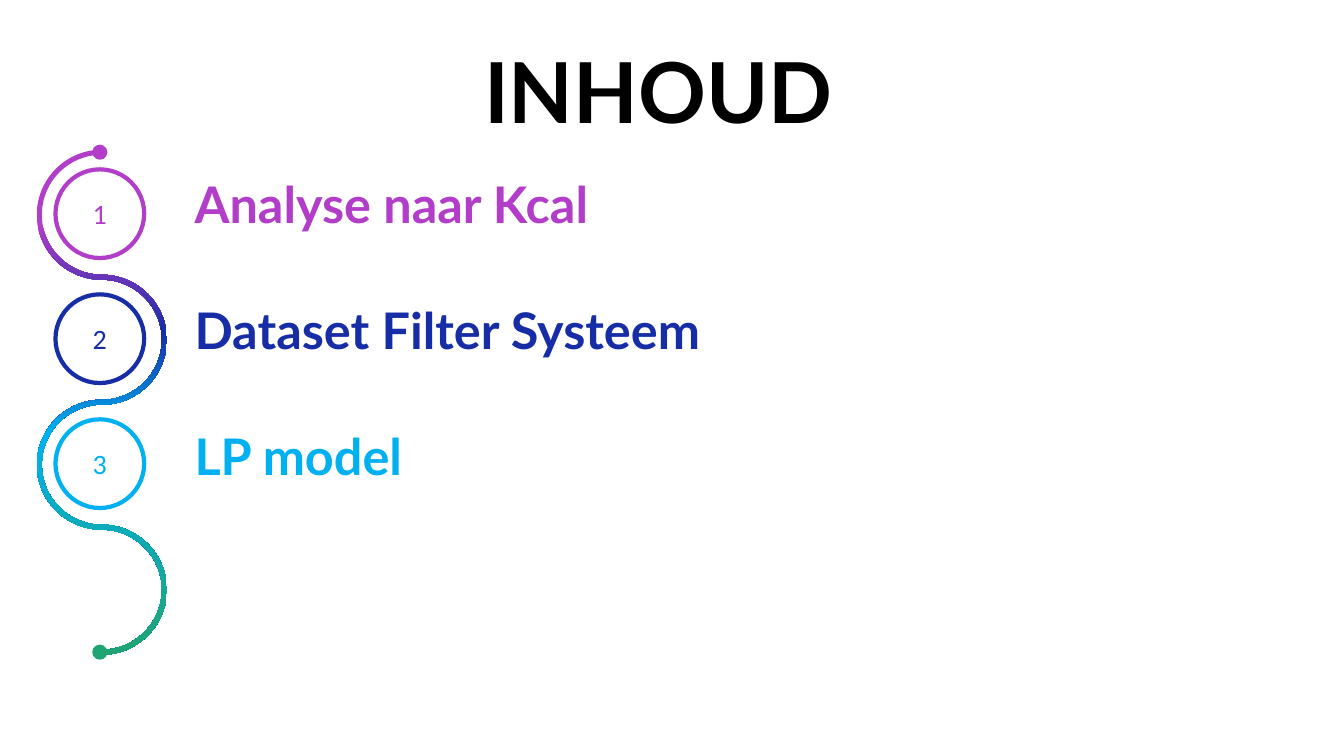
import math

import pptx
import pptx.dml.color
import pptx.enum.shapes
import pptx.enum.text
import pptx.oxml
import pptx.oxml.ns
import pptx.util

WIDTH, HEIGHT = 13.33, 7.5
AXIS = 0.99               # centre of the circles
TOP, ROW = 2.12, 1.24     # centre of the first circle, and row pitch
RADIUS, BAND = ROW / 2, 0.05   # the ribbon turns once per row
UNITS = 1000              # outline units per inch
PURPLE, NAVY, SKY, GREEN = "B13DC8", "172DA6", "00B0F0", "20A472"
TOPICS = [  # placeholder index, text, colour, width, height
    (1, "Analyse naar Kcal ", PURPLE, 8.73, 0.33),
    (3, "Dataset Filter Systeem", NAVY, 6.52, 0.56),
    (2, "LP model ", SKY, 2.9, 0.56),
]
RIBBON_STOPS = [(15, PURPLE), (36, NAVY), (56, SKY), (100, GREEN)]


def rgb(value):
    return pptx.dml.color.RGBColor.from_string(value)


def row_y(row):
    return TOP + row * ROW


def write(sp, text, font, size, color, bold=None):
    tf = sp.text_frame
    tf.text = text
    p = tf.paragraphs[0]
    p.font.name, p.font.size = font, pptx.util.Pt(size)
    p.font.bold, p.font.color.rgb = bold, rgb(color)
    return tf, p


def fill_placeholder(sp, box, text, size, color, align):
    sp.left, sp.top, sp.width, sp.height = map(pptx.util.Inches, box)
    tf, p = write(sp, text, "Lato", size, color, bold=True)
    tf.word_wrap = True
    tf.auto_size = pptx.enum.text.MSO_AUTO_SIZE.NONE
    tf.vertical_anchor = pptx.enum.text.MSO_ANCHOR.TOP
    p.alignment = align
    p.line_spacing, p.space_before = 0.9, pptx.util.Pt(10)
    # No bullet, no hanging indent
    pPr = p._p.get_or_add_pPr()
    pPr.set("marL", "0")
    pPr.set("indent", "0")
    bullet = pptx.oxml.parse_xml(
        f'<a:buNone {pptx.oxml.ns.nsdecls("a")}/>')
    pPr.find(pptx.oxml.ns.qn("a:spcBef")).addnext(bullet)
    # Text lies in front of the shapes
    sp._element.getparent().append(sp._element)


def add_circle(s, y, diameter, fill, line=None):
    left, top = AXIS - diameter / 2, y - diameter / 2
    sp = s.shapes.add_shape(
        pptx.enum.shapes.MSO_SHAPE.OVAL,
        *map(pptx.util.Inches, (left, top, diameter, diameter)))
    sp.shadow.inherit = False
    sp.fill.solid()
    sp.fill.fore_color.rgb = rgb(fill)
    if line:
        sp.line.color.rgb = rgb(line)
        sp.line.width = pptx.util.Pt(3)
    else:
        sp.line.fill.background()
    return sp


def add_number(s, row, color):
    sp = add_circle(s, row_y(row), 0.88, "FFFFFF", color)
    tf, p = write(sp, str(row + 1), "Calibri", 20, color)
    tf.vertical_anchor = pptx.enum.text.MSO_ANCHOR.MIDDLE
    p.alignment = pptx.enum.text.PP_ALIGN.CENTER


def ribbon_edge(turns, offset):
    """Bezier points, from the ribbon's middle, of alternating half circles."""
    handle = 4 / 3 * math.tan(math.pi / 8)
    points = [(0, -turns * RADIUS - offset * -1)]
    for row in range(turns):
        side = 1 if row % 2 else -1
        r = RADIUS + side * offset
        y = (row - (turns - 1) / 2) * ROW
        h = r * handle
        points += [(side * h, y - r), (side * r, y - h), (side * r, y),
                   (side * r, y + h), (side * h, y + r), (0, y + r)]
    return points


def curve_lines(lines):
    """Turn each three line ends into one cubic curve."""
    for start in range(0, len(lines), 3):
        group = lines[start:start + 3]
        curve = pptx.oxml.parse_xml(
            f'<a:cubicBezTo {pptx.oxml.ns.nsdecls("a")}/>')
        group[0].addprevious(curve)
        for line in group:
            curve.append(line[0])
            line.getparent().remove(line)


def add_ribbon(s, turns):
    outline = (ribbon_edge(turns, BAND / 2)
               + ribbon_edge(turns, -BAND / 2)[::-1])
    middle_x = AXIS + 0.02
    middle_y = row_y((turns - 1) / 2) + 0.01
    # Drawn lying down, then turned upright
    points = [(round((middle_x - y) * UNITS), round((middle_y + x) * UNITS))
              for x, y in outline]
    builder = s.shapes.build_freeform(
        *points[0], scale=pptx.util.Inches(1) / UNITS)
    builder.add_line_segments(points[1:])
    sp = builder.convert_to_shape()
    sp.rotation = 270
    sp.shadow.inherit = False
    sp.line.fill.background()
    geometry = sp._element.spPr.find(pptx.oxml.ns.qn("a:custGeom"))
    lines = list(geometry.iter(pptx.oxml.ns.qn("a:lnTo")))
    half = len(lines) // 2
    curve_lines(lines[:half])
    curve_lines(lines[half + 1:])
    stops = "".join(
        f'<a:gs pos="{pos * 1000}"><a:srgbClr val="{color}"/></a:gs>'
        for pos, color in RIBBON_STOPS)
    geometry.addnext(pptx.oxml.parse_xml(
        f'<a:gradFill {pptx.oxml.ns.nsdecls("a")} rotWithShape="1">'
        f'<a:gsLst>{stops}</a:gsLst>'
        '<a:lin ang="10800000" scaled="0"/></a:gradFill>'))


def main():
    prs = pptx.Presentation()
    prs.slide_width = pptx.util.Inches(WIDTH)
    prs.slide_height = pptx.util.Inches(HEIGHT)
    s = prs.slides.add_slide(prs.slide_layouts.get_by_name("Comparison"))
    holders = {sp.placeholder_format.idx: sp for sp in s.placeholders}

    # Number circles
    for row, topic in enumerate(TOPICS):
        add_number(s, row, topic[2])

    # Winding ribbon with a dot at each end
    turns = len(TOPICS) + 1
    add_ribbon(s, turns)
    add_circle(s, row_y(-0.5) + 0.01, 0.15, PURPLE)
    add_circle(s, row_y(turns - 0.5) + 0.01, 0.15, GREEN)

    # Topics
    for row, (idx, text, color, width, height) in enumerate(TOPICS):
        box = (1.83, 1.74 + row * 1.25, width, height)
        fill_placeholder(holders.pop(idx), box, text, 36, color,
                         pptx.enum.text.PP_ALIGN.LEFT)

    # Title
    fill_placeholder(holders.pop(0), (3.9, 0.46, 5.26, 0.74), "INHOUD", 60,
                     "000000", pptx.enum.text.PP_ALIGN.CENTER)

    # Unused placeholders
    for sp in holders.values():
        sp._element.getparent().remove(sp._element)

    prs.save("out.pptx")


main()
